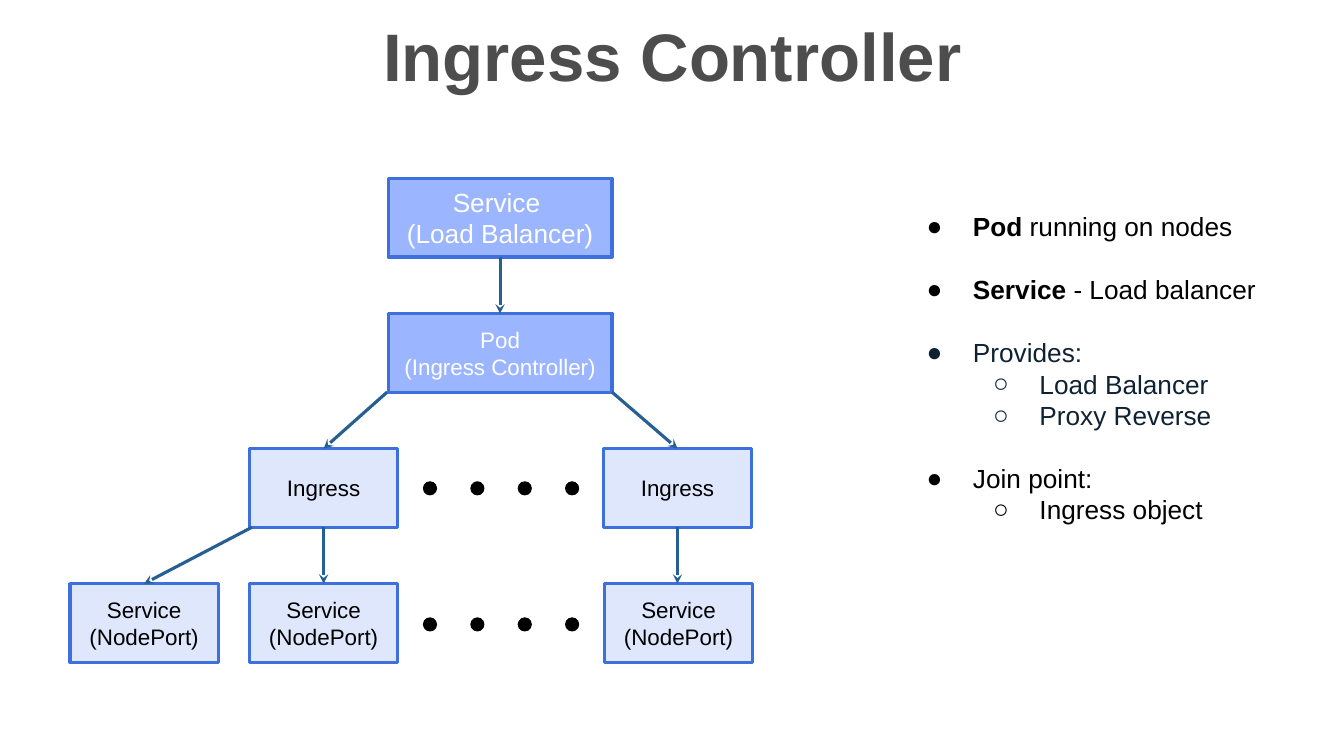
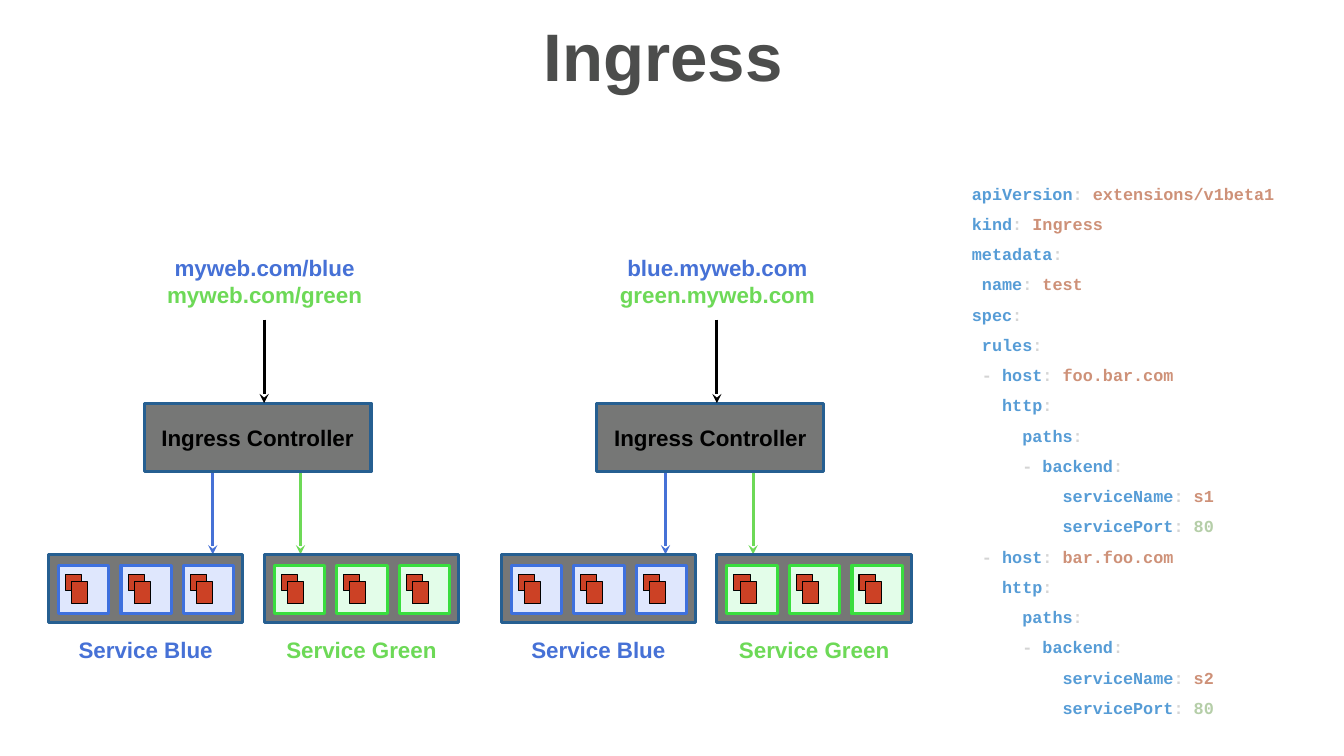
"""Build two slides on the Ingress Controller and Ingress routing."""
from dataclasses import dataclass

from lxml import etree
from pptx import Presentation
from pptx.dml.color import RGBColor
from pptx.enum.shapes import MSO_CONNECTOR, MSO_SHAPE
from pptx.enum.text import MSO_ANCHOR, PP_ALIGN
from pptx.oxml.ns import qn
from pptx.util import Inches, Pt

RECTANGLE = MSO_SHAPE.RECTANGLE
PROCESS = MSO_SHAPE.FLOWCHART_PROCESS
OVAL = MSO_SHAPE.OVAL
STRAIGHT = MSO_CONNECTOR.STRAIGHT
CENTER = PP_ALIGN.CENTER
LEFT = PP_ALIGN.LEFT
MIDDLE = MSO_ANCHOR.MIDDLE
TOP = MSO_ANCHOR.TOP

BLACK = RGBColor(0x00, 0x00, 0x00)
WHITE = RGBColor(0xFF, 0xFF, 0xFF)
NAVY = RGBColor(0x0F, 0x22, 0x33)
TITLE_GRAY = RGBColor(0x4C, 0x4D, 0x4C)
PANEL_GRAY = RGBColor(0x76, 0x77, 0x76)
STEEL = RGBColor(0x26, 0x5F, 0x91)
BORDER_BLUE = RGBColor(0x3E, 0x70, 0xDD)
MID_BLUE = RGBColor(0x9B, 0xB5, 0xFF)
PALE_BLUE = RGBColor(0xDF, 0xE7, 0xFD)
ROUTE_BLUE = RGBColor(0x46, 0x71, 0xD6)
BORDER_GREEN = RGBColor(0x39, 0xDD, 0x3E)
PALE_GREEN = RGBColor(0xE3, 0xFD, 0xE9)
ROUTE_GREEN = RGBColor(0x6D, 0xD9, 0x57)
CONTAINER_RED = RGBColor(0xCC, 0x41, 0x25)
CODE_KEY = RGBColor(0x56, 0x9C, 0xD6)
CODE_MARK = RGBColor(0xD4, 0xD4, 0xD4)
CODE_TEXT = RGBColor(0xCE, 0x91, 0x78)
CODE_NUMBER = RGBColor(0xB5, 0xCE, 0xA8)

SANS = "Arial"
MONO = "Courier New"
INSET = 0.13
ROW_TOP, ROW_PITCH, ROW_HEIGHT = 1.77, 1.34, 0.78


@dataclass(frozen=True)
class Span:
    """A run of text with its style."""
    text: str
    color: RGBColor = BLACK
    size: float = 16
    bold: bool = False
    font: str = SANS


@dataclass(frozen=True)
class Area:
    """A rectangle in inches."""
    left: float
    top: float
    width: float
    height: float


@dataclass(frozen=True)
class Node:
    """A box of the tree, placed by its centre and row."""
    center: float
    row: int
    width: float
    lines: tuple[str, ...]
    fill: RGBColor = PALE_BLUE
    color: RGBColor = BLACK
    size: float = 16


@dataclass(frozen=True)
class Edge:
    """An arrow from one row of the tree to the next."""
    row: int
    start: float
    end: float


@dataclass(frozen=True)
class Bullet:
    """A list entry with its level and the gap above it."""
    spans: tuple[Span, ...]
    level: int = 0
    gap: float = 0


@dataclass(frozen=True)
class Service:
    """A service panel with its pods and incoming route."""
    name: str
    left: float
    route: float
    color: RGBColor
    pod_fill: RGBColor
    pod_line: RGBColor


def item(text: str, color: RGBColor = BLACK, bold: bool = False) -> Span:
    """Return a span in the list size."""
    return Span(text, color, 18.7, bold)


NODES = (
    Node(4.96, 0, 2.22, ("Service ", "(Load Balancer)"), MID_BLUE, WHITE, 18.7),
    Node(4.96, 1, 2.22, ("Pod", "(Ingress Controller)"), MID_BLUE, WHITE),
    *(Node(center, 2, 1.47, ("Ingress",)) for center in (3.21, 6.72)),
    *(Node(center, 3, 1.47, ("Service", "(NodePort)")) for center in (1.43, 3.21, 6.73)),
)
EDGES = (
    Edge(0, 4.96, 4.96), Edge(1, 3.84, 3.21), Edge(1, 6.07, 6.72),
    Edge(2, 2.5, 1.43), Edge(2, 3.21, 3.21), Edge(2, 6.72, 6.72),
)
BULLETS = (
    Bullet((item("Pod", bold=True), item(" running on nodes"))),
    Bullet((item("Service", bold=True), item(" - Load balancer")), gap=22.5),
    Bullet((item("Provides:", NAVY),), gap=22.5),
    Bullet((item("Load Balancer", NAVY),), 1),
    Bullet((item("Proxy Reverse", NAVY),), 1),
    Bullet((item("Join point:"),), gap=22.5),
    Bullet((item("Ingress object"),), 1),
)
SERVICES = (
    Service("Service Blue", 0.48, 2.11, ROUTE_BLUE, PALE_BLUE, BORDER_BLUE),
    Service("Service Green", 2.62, 2.98, ROUTE_GREEN, PALE_GREEN, BORDER_GREEN),
)
ADDRESSES = (
    ("myweb.com/blue", "myweb.com/green"),
    ("blue.myweb.com", "green.myweb.com"),
)
MANIFEST = """apiVersion: extensions/v1beta1
kind: Ingress
metadata:
 name: test
spec:
 rules:
 - host: foo.bar.com
   http:
     paths:
     - backend:
         serviceName: s1
         servicePort: 80
 - host: bar.foo.com
   http:
     paths:
     - backend:
         serviceName: s2
         servicePort: 80"""


def add_spans(para, spans) -> None:
    """Add styled runs to a paragraph."""
    for span in spans:
        run = para.add_run()
        run.text = span.text
        run.font.name = span.font
        run.font.size = Pt(span.size)
        run.font.bold = span.bold
        run.font.color.rgb = span.color


def write(shape, lines, align=CENTER, anchor=MIDDLE, spacing: float = 1) -> list:
    """Fill a shape with lines of spans and return its paragraphs."""
    frame = shape.text_frame
    frame.word_wrap = True
    frame.vertical_anchor = anchor
    frame.margin_left = frame.margin_right = Inches(INSET)
    frame.margin_top = frame.margin_bottom = Inches(INSET)
    for index, spans in enumerate(lines):
        para = frame.add_paragraph() if index else frame.paragraphs[0]
        para.alignment = align
        if spacing != 1:
            para.line_spacing = spacing
        add_spans(para, spans)
    return list(frame.paragraphs)


def place(area: Area) -> tuple:
    """Return the area as lengths."""
    return tuple(Inches(n) for n in (area.left, area.top, area.width, area.height))


def add_box(shapes, kind, area: Area, fill: RGBColor, line: RGBColor, weight: float = 2.25):
    """Add a filled, outlined shape."""
    box = shapes.add_shape(kind, *place(area))
    box.shadow.inherit = False
    box.fill.solid()
    box.fill.fore_color.rgb = fill
    box.line.color.rgb = line
    box.line.width = Pt(weight)
    return box


def add_text(shapes, area: Area, lines, align=CENTER, anchor=TOP, spacing: float = 1) -> list:
    """Add a text box and return its paragraphs."""
    return write(shapes.add_textbox(*place(area)), lines, align, anchor, spacing)


def add_arrow(shapes, start: tuple[float, float], end: tuple[float, float], color: RGBColor) -> None:
    """Add a straight arrow with a stealth head."""
    arrow = shapes.add_connector(STRAIGHT, *(Inches(n) for n in (*start, *end)))
    arrow.line.color.rgb = color
    arrow.line.width = Pt(2.25)
    properties = arrow._element.spPr
    etree.SubElement(properties.find(qn("a:ln")), qn("a:tailEnd"), type="stealth")
    etree.SubElement(properties, qn("a:effectLst"))


def add_page(deck, title: str):
    """Add a blank page with the shared title."""
    page = deck.slides.add_slide(deck.slide_layouts[6])
    add_text(page.shapes, Area(0.67, 0, 12, 1.09),
             [[Span(title, TITLE_GRAY, 48, True)]], anchor=MIDDLE)
    return page


def set_bullet(para, bullet: Bullet) -> None:
    """Give a paragraph its bullet, indent and gap."""
    properties = para._p.get_or_add_pPr()
    properties.set("marL", str(Inches((0.67, 1.33)[bullet.level])))
    properties.set("indent", str(Inches(-0.46)))
    color = etree.SubElement(properties, qn("a:buClr"))
    etree.SubElement(color, qn("a:srgbClr"), val=str(bullet.spans[-1].color))
    etree.SubElement(properties, qn("a:buFont"), typeface=SANS)
    etree.SubElement(properties, qn("a:buChar"), char="●○"[bullet.level])
    para.level = bullet.level
    if bullet.gap:
        para.space_before = Pt(bullet.gap)


def code_spans(line: str) -> list[Span]:
    """Split a manifest line into coloured spans."""
    body = line.lstrip(" -")
    key, _, value = body.partition(":")
    value = value.strip()
    parts = (
        (line[:len(line) - len(body)], CODE_MARK),
        (key, CODE_KEY),
        (": " if value else ":", CODE_MARK),
        (value, CODE_NUMBER if value.isdigit() else CODE_TEXT),
    )
    return [Span(text, color, 12, True, MONO) for text, color in parts if text]


def draw_tree(shapes) -> None:
    """Draw the tree of services, pod and ingresses."""
    for node in NODES:
        area = Area(node.center - node.width / 2, ROW_TOP + node.row * ROW_PITCH,
                    node.width, ROW_HEIGHT)
        box = add_box(shapes, PROCESS, area, node.fill, BORDER_BLUE)
        write(box, [[Span(text, node.color, node.size)] for text in node.lines])
    for edge in EDGES:
        top = ROW_TOP + edge.row * ROW_PITCH
        add_arrow(shapes, (edge.start, top + ROW_HEIGHT), (edge.end, top + ROW_PITCH), STEEL)
    for top in (4.78, 6.13):
        for index in range(4):
            add_box(shapes, OVAL, Area(4.2 + index * 0.47, top, 0.13, 0.13), BLACK, BLACK, 0.75)


def draw_service(shapes, service: Service, shift: float) -> None:
    """Draw one service panel with three pods."""
    left = service.left + shift
    route = service.route + shift
    add_arrow(shapes, (route, 4.68), (route, 5.5), service.color)
    add_box(shapes, RECTANGLE, Area(left, 5.5, 1.93, 0.68), PANEL_GRAY, STEEL)
    for index in range(3):
        pod = left + 0.1 + index * 0.62
        add_box(shapes, PROCESS, Area(pod, 5.61, 0.5, 0.48), service.pod_fill, service.pod_line)
        for area in (Area(pod + 0.07, 5.7, 0.16, 0.16), Area(pod + 0.13, 5.77, 0.16, 0.22)):
            add_box(shapes, RECTANGLE, area, CONTAINER_RED, BLACK, 0.75)
    add_text(shapes, Area(left, 6.18, 1.93, 0.48), [[Span(service.name, service.color, bold=True)]])


def draw_routing(shapes, addresses: tuple[str, ...], shift: float) -> None:
    """Draw addresses routed through a controller to the services."""
    for service in SERVICES:
        draw_service(shapes, service, shift)
    controller = add_box(shapes, RECTANGLE, Area(1.43 + shift, 4, 2.25, 0.68), PANEL_GRAY, STEEL)
    write(controller, [[Span("Ingress Controller", bold=True)]])
    add_arrow(shapes, (2.62 + shift, 3.17), (2.62 + shift, 4), BLACK)
    add_text(shapes, Area(1.5 + shift, 2.39, 2.25, 0.73),
             [[Span(address, service.color, bold=True)]
              for address, service in zip(addresses, SERVICES)])


def main() -> None:
    """Build and save the deck."""
    deck = Presentation()
    deck.slide_width, deck.slide_height = Inches(13.33), Inches(7.5)

    page = add_page(deck, "Ingress Controller")
    paras = add_text(page.shapes, Area(8.85, 1.96, 3.92, 4.36),
                     [bullet.spans for bullet in BULLETS], LEFT)
    for para, bullet in zip(paras, BULLETS):
        set_bullet(para, bullet)
    draw_tree(page.shapes)

    page = add_page(deck, "Ingress ")
    add_text(page.shapes, Area(9.51, 1.59, 3.7, 5.8),
             [code_spans(line) for line in MANIFEST.splitlines()], LEFT, spacing=1.5)
    for index, addresses in enumerate(ADDRESSES):
        draw_routing(page.shapes.add_group_shape().shapes, addresses, index * 4.49)

    deck.save("out.pptx")


if __name__ == "__main__":
    main()
